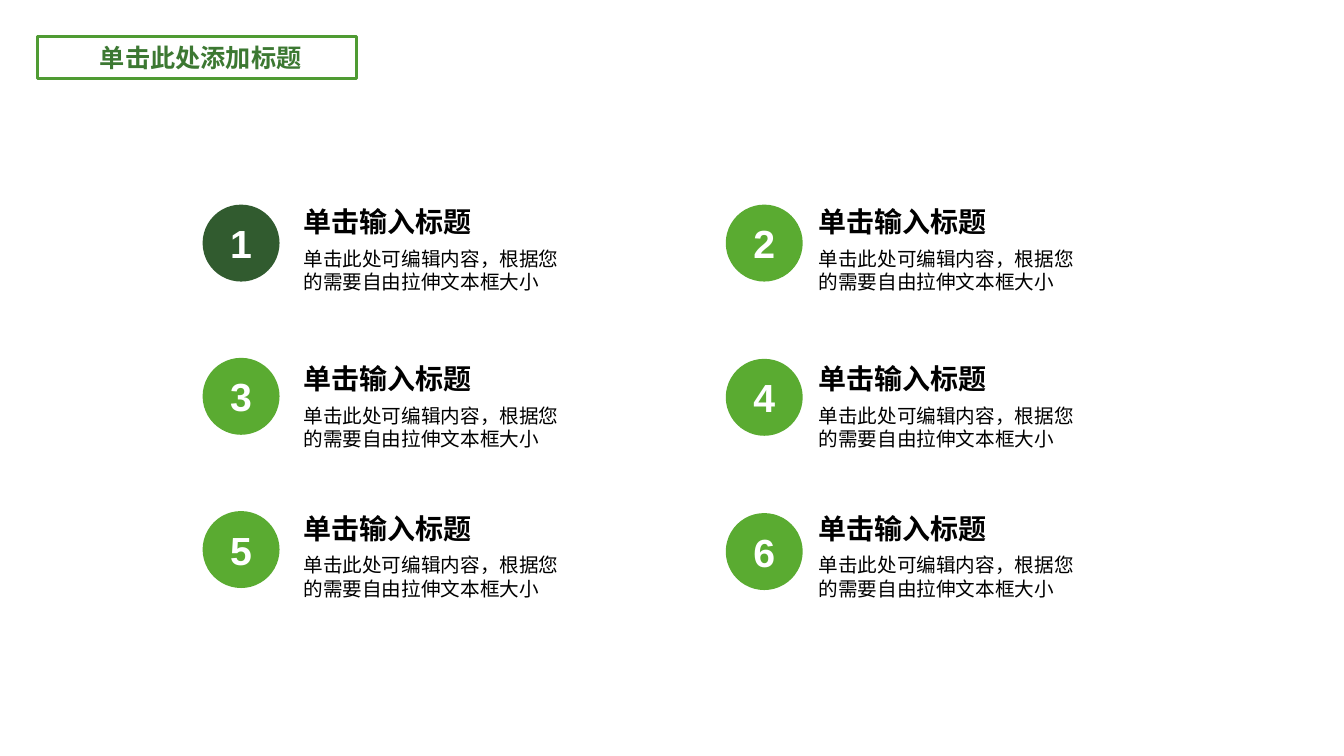
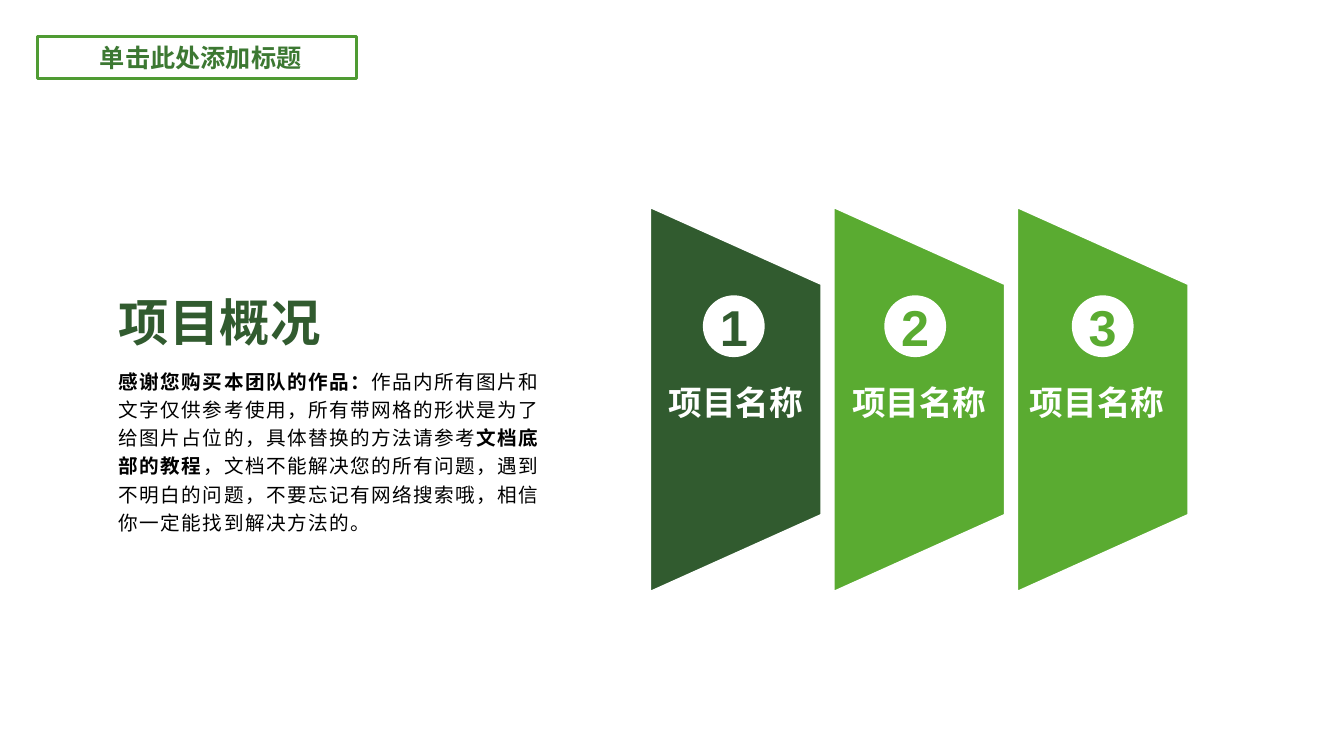
"""Build a six-point list slide and a project overview slide on a 40 by 22.5 cell grid."""
import lxml.etree
import pptx
import pptx.dml.color
import pptx.enum.shapes
import pptx.enum.text
import pptx.oxml.ns
import pptx.util


class Theme:
    dark = pptx.dml.color.RGBColor.from_string("315B2F")
    green = pptx.dml.color.RGBColor.from_string("5AAB31")
    border = pptx.dml.color.RGBColor.from_string("4F9B33")
    title = pptx.dml.color.RGBColor.from_string("3C7832")
    white = pptx.dml.color.RGBColor.from_string("FFFFFF")
    black = pptx.dml.color.RGBColor.from_string("000000")
    latin = "Arial"
    chinese = "Noto Sans CJK SC"
    body_size, title_size, heading_size = 14, 18, 20
    label_size, number_size, display_size = 24, 28, 36


LEFT = pptx.enum.text.PP_ALIGN.LEFT
CENTER = pptx.enum.text.PP_ALIGN.CENTER
MIDDLE = pptx.enum.text.MSO_ANCHOR.MIDDLE
TOP = pptx.enum.text.MSO_ANCHOR.TOP
OVAL = pptx.enum.shapes.MSO_SHAPE.OVAL
qn = pptx.oxml.ns.qn


def cells(*counts):
    return [pptx.util.Emu(round(count * pptx.util.Inches(1) / 3)) for count in counts]


def write(box, text, size, color, font=Theme.latin, bold=True, align=LEFT, anchor=TOP, inset=0):
    frame = box.text_frame
    frame.word_wrap = True
    frame.vertical_anchor = anchor
    frame.margin_left = frame.margin_right = frame.margin_top = frame.margin_bottom = cells(inset)[0]
    para = frame.paragraphs[0]
    para.text = text
    para.alignment = align
    para.font.name = font
    para.font.size = pptx.util.Pt(size)
    para.font.bold = bold
    para.font.color.rgb = color
    for latin in box.element.iter(qn("a:latin")):
        east_asian = lxml.etree.Element(qn("a:ea"), typeface=Theme.chinese)
        latin.addnext(east_asian)
    return para


deck = pptx.Presentation()
deck.slide_width, deck.slide_height = cells(40, 22.5)
pages = [deck.slides.add_slide(deck.slide_layouts[5]) for number in range(2)]

for page in pages:
    title = page.shapes.title
    title.left, title.top, title.width, title.height = cells(1.11, 1.08, 9.51, 1.26)
    pill = lxml.etree.Element(qn("a:prstGeom"), prst="roundRect")
    guides = lxml.etree.SubElement(pill, qn("a:avLst"))
    lxml.etree.SubElement(guides, qn("a:gd"), name="adj", fmla="val 50000")
    title.element.spPr.find(qn("a:xfrm")).addnext(pill)
    title.fill.solid()
    title.fill.fore_color.rgb = Theme.white
    title.line.color.rgb = Theme.border
    title.line.width = pptx.util.Pt(2.25)
    title.text_frame.auto_size = pptx.enum.text.MSO_AUTO_SIZE.NONE
    write(title, "单击此处添加标题", Theme.title_size, Theme.title, font=Theme.chinese, anchor=MIDDLE)
    title.text_frame.margin_left = cells(1.86)[0]

points_page, overview_page = pages

text_tops = [6.09, 10.77, 15.21]
columns = [(6.03, 9.03, 4.56), (21.6, 24.36, 4.59)]
for row, text_top in enumerate(text_tops):
    for column, (disc_left, text_left, pitch) in enumerate(columns):
        number = 2 * row + column + 1
        disc = points_page.shapes.add_shape(OVAL, *cells(disc_left, 6.09 + row * pitch, 2.29, 2.29))
        disc.shadow.inherit = False
        disc.fill.solid()
        disc.fill.fore_color.rgb = Theme.dark if number == 1 else Theme.green
        disc.line.fill.background()
        write(disc, str(number), Theme.number_size, Theme.white, align=CENTER, anchor=MIDDLE)
        heading = points_page.shapes.add_textbox(*cells(text_left, text_top, 8.46, 1.02))
        write(heading, "单击输入标题", Theme.heading_size, Theme.black)
        body = points_page.shapes.add_textbox(*cells(text_left, text_top + 1.25, 7.65, 1.41))
        write(body, "单击此处可编辑内容，根据您的需要自由拉伸文本框大小",
              Theme.body_size, Theme.black, bold=False)

panel_top, panel_width, panel_height = 6.18, 5.08, 11.42
disc_size = 1.84
shifts = [(0, -0.06), (0, -0.12), (-0.17, 0)]
for index, (label_shift, disc_shift) in enumerate(shifts):
    color = Theme.green if index else Theme.dark
    left = 19.36 + index * 5.46
    right = left + panel_width
    bottom = panel_top + panel_height
    slope = panel_height / 5
    outline = overview_page.shapes.build_freeform(*cells(left, bottom))
    outline.add_line_segments([
        cells(left, panel_top),
        cells(right, panel_top + slope),
        cells(right, bottom - slope),
    ])
    panel = outline.convert_to_shape()
    panel.shadow.inherit = False
    panel.fill.solid()
    panel.fill.fore_color.rgb = color
    panel.line.color.rgb = Theme.white
    panel.line.width = pptx.util.Pt(1)
    label = overview_page.shapes.add_textbox(*cells(left + label_shift, 11.22, panel_width, 1.53))
    write(label, "项目名称", Theme.label_size, Theme.white, align=CENTER, inset=0.15)
    disc_left = left + (panel_width - disc_size) / 2 + disc_shift
    disc = overview_page.shapes.add_shape(OVAL, *cells(disc_left, 8.79, disc_size, disc_size))
    disc.shadow.inherit = False
    disc.fill.solid()
    disc.fill.fore_color.rgb = Theme.white
    disc.line.fill.background()
    write(disc, str(index + 1), Theme.display_size, color, align=CENTER, anchor=MIDDLE)

heading = overview_page.shapes.add_textbox(*cells(3.54, 8.67, 8.79, 1.83))
write(heading, "项目概况", Theme.display_size, Theme.dark)

summary = overview_page.shapes.add_textbox(*cells(3.54, 10.86, 12.6, 5.01))
para = write(summary, "", Theme.body_size, Theme.black, font=Theme.chinese, bold=False)
para.line_spacing = 1.2
phrases = [
    ("感谢您购买本团队的作品：", True),
    ("作品内所有图片和文字仅供参考使用，所有带网格的形状是为了给图片占位的，具体替换的方法请参考", False),
    ("文档底部的教程", True),
    ("，文档不能解决您的所有问题，遇到不明白的问题，不要忘记有网络搜索哦，相信你一定能找到解决方法的。", False),
]
for phrase, bold in phrases:
    span = para.add_run()
    span.text = phrase
    span.font.bold = bold
for properties in summary.element.iter(qn("a:rPr")):
    properties.set("spc", "100")

deck.save("out.pptx")
